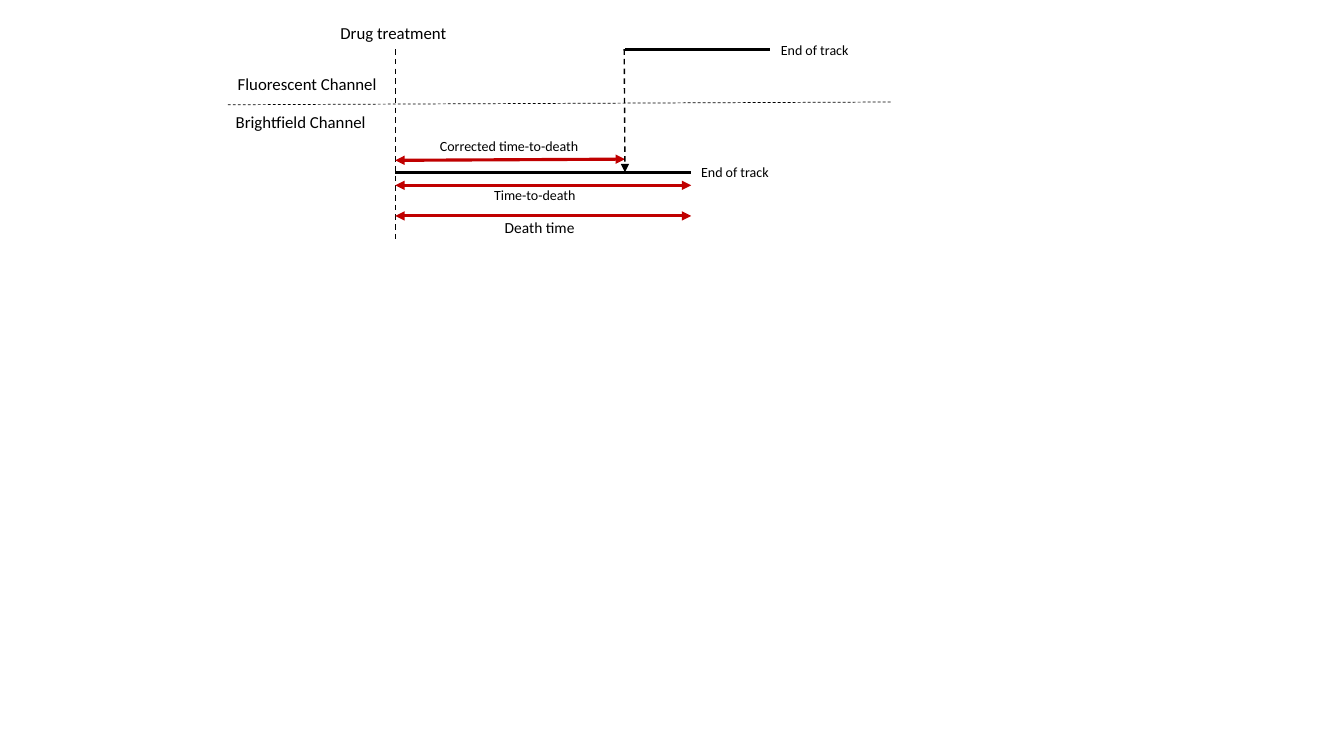
from dataclasses import dataclass

from lxml import etree
from pptx import Presentation
from pptx.dml.color import RGBColor
from pptx.enum.dml import MSO_LINE
from pptx.enum.shapes import MSO_CONNECTOR
from pptx.enum.text import MSO_AUTO_SIZE, PP_ALIGN
from pptx.oxml.ns import qn
from pptx.util import Cm, Pt

STRAIGHT = MSO_CONNECTOR.STRAIGHT
DASH = MSO_LINE.DASH
FIT_SHAPE = MSO_AUTO_SIZE.SHAPE_TO_FIT_TEXT
LEFT, CENTER = PP_ALIGN.LEFT, PP_ALIGN.CENTER
BLANK_LAYOUT = 6


@dataclass(frozen=True)
class Theme:
    font: str = "Calibri"
    ink: RGBColor = RGBColor(0x00, 0x00, 0x00)
    span_red: RGBColor = RGBColor(0xC0, 0x00, 0x00)
    heading: int = 12
    death: int = 11
    label: int = 10
    thick: float = 2.25
    guide: float = 1
    divider: float = 0.5


class Diagram:
    """Draws on one slide; all lengths are in centimetres."""

    def __init__(self, slide, theme):
        self.slide = slide
        self.theme = theme

    def line(self, start, end, width, color=None, dashed=False, ends=()):
        """Draw a line; ends may hold "headEnd" and "tailEnd" for arrowheads."""
        points = [Cm(value) for value in (*start, *end)]
        connector = self.slide.shapes.add_connector(STRAIGHT, *points)
        connector.line.color.rgb = color or self.theme.ink
        connector.line.width = Pt(width)
        if dashed:
            connector.line.dash_style = DASH
        outline = connector.line._get_or_add_ln()
        for end_name in ends:
            etree.SubElement(outline, qn(f"a:{end_name}"), type="triangle")
        etree.SubElement(connector._element.spPr, qn("a:effectLst"))

    def track(self, start, end):
        self.line(start, end, self.theme.thick)

    def time_span(self, start, end):
        self.line(start, end, self.theme.thick, self.theme.span_red,
                  ends=("headEnd", "tailEnd"))

    def text(self, words, left, top, width, size, align=LEFT, wrap=False):
        height = 0.26 + size * 0.0427
        box = self.slide.shapes.add_textbox(Cm(left), Cm(top), Cm(width), Cm(height))
        frame = box.text_frame
        frame.text = words
        frame.word_wrap = wrap
        frame.auto_size = FIT_SHAPE
        para = frame.paragraphs[0]
        para.alignment = align
        font = para.runs[0].font
        font.name = self.theme.font
        font.size = Pt(size)
        font.color.rgb = self.theme.ink


def main():
    deck = Presentation()
    deck.slide_width, deck.slide_height = Cm(33.87), Cm(19.05)
    slide = deck.slides.add_slide(deck.slide_layouts[BLANK_LAYOUT])
    theme = Theme()
    diagram = Diagram(slide, theme)

    treatment_x, signal_x = 9.96, 15.75
    brightfield_end, fluorescent_end = 17.42, 19.41
    fluorescent_y, brightfield_y = 1.24, 4.34

    diagram.track((treatment_x, brightfield_y), (brightfield_end, brightfield_y))
    diagram.track((signal_x, fluorescent_y), (fluorescent_end, fluorescent_y))
    diagram.line((5.74, 2.64), (22.45, 2.57), theme.divider, dashed=True)
    diagram.line((treatment_x, fluorescent_y), (treatment_x, 6.07),
                 theme.guide, dashed=True)
    diagram.time_span((treatment_x, 4.04), (signal_x, 4.01))
    for span_y in (4.67, 5.44):
        diagram.time_span((treatment_x, span_y), (brightfield_end, span_y))
    diagram.line((signal_x - 0.02, fluorescent_y), (signal_x, brightfield_y),
                 theme.guide, dashed=True, ends=("tailEnd",))

    diagram.text("Drug treatment", 8.33, 0.46, 3.2, theme.heading)
    diagram.text("Fluorescent Channel", 5.74, 1.73, 4.06, theme.heading)
    diagram.text("Brightfield Channel", 5.69, 2.7, 3.81, theme.heading)
    diagram.text("End of track", brightfield_end, 3.99, 2.24, theme.label)
    diagram.text("End of track", 19.43, 0.91, 4.14, theme.label, wrap=True)
    diagram.text("Corrected time-to-death", 9.73, 3.33, 6.2, theme.label, CENTER, True)
    diagram.text("Time-to-death", 11.25, 4.57, 4.45, theme.label, CENTER, True)
    diagram.text("Death time", 11.25, 5.36, 4.7, theme.death, CENTER, True)

    deck.save("out.pptx")


if __name__ == "__main__":
    main()
